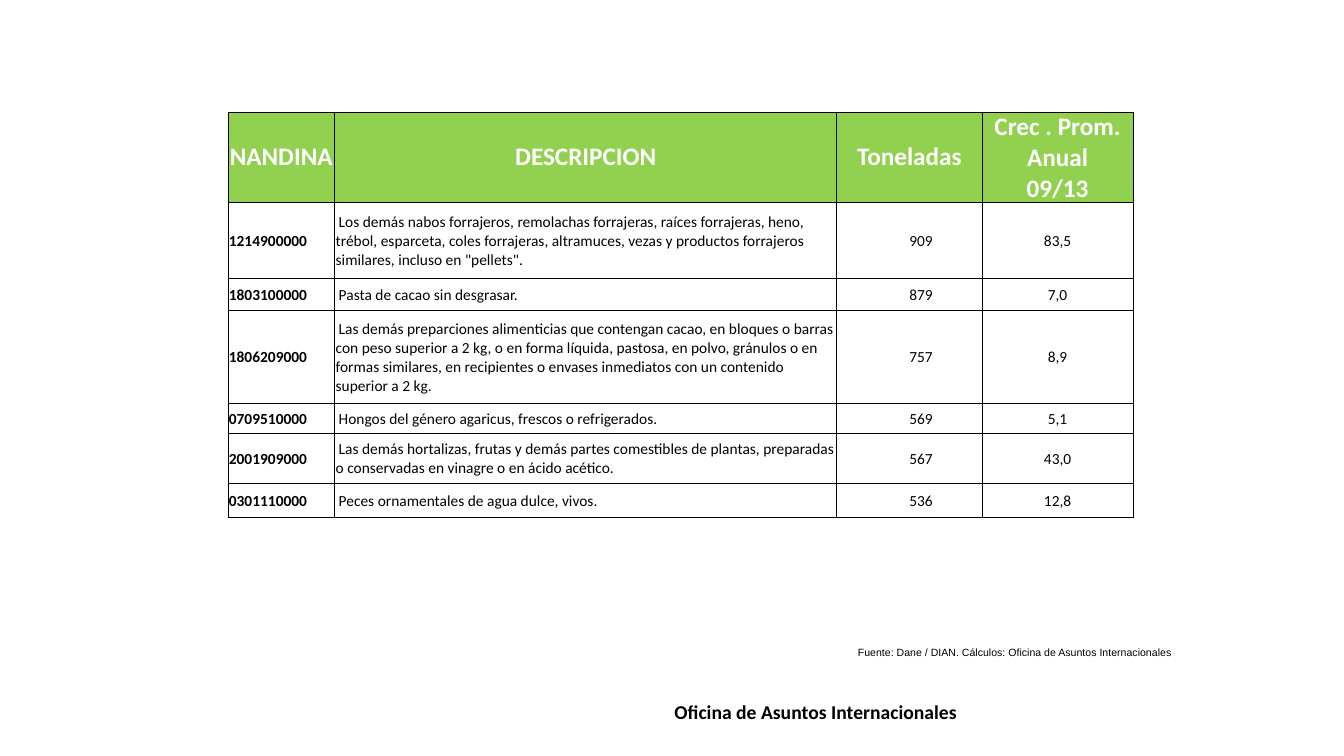
from lxml import etree
from pptx import Presentation
from pptx import util as u
from pptx.dml.color import RGBColor
from pptx.enum import text
from pptx.oxml.ns import qn

COLOURS = {"header": "92D050", "light": "FFFFFF", "ink": "000000"}
GRID = u.Inches(0.01)
SLIDE = (1333, 750)
TABLE_BOX = (226, 92, 898, 416)
SOURCE_BOX = (841, 636, 331, 23)
OFFICE_BOX = (659, 689, 394, 34)
COLUMNS = (106, 498, 144, 150)
ROWS = (19, 85, 75, 32, 92, 30, 50, 33)
HEADINGS = ("NANDINA", "DESCRIPCION", "Toneladas", "Crec . Prom. Anual\n09/13")
PRODUCTS = (
    ("1214900000", "Los demás nabos forrajeros, remolachas forrajeras, raíces forrajeras, "
     "heno, trébol, esparceta, coles forrajeras, altramuces, vezas y productos "
     'forrajeros similares, incluso en "pellets".', "909", "83,5"),
    ("1803100000", "Pasta de cacao sin desgrasar.", "879", "7,0"),
    ("1806209000", "Las demás preparciones alimenticias que contengan cacao, en bloques o "
     "barras con peso superior a 2 kg, o en forma líquida, pastosa, en polvo, gránulos "
     "o en formas similares, en recipientes o envases inmediatos con un contenido "
     "superior a 2 kg.", "757", "8,9"),
    ("0709510000", "Hongos del género agaricus, frescos o refrigerados.", "569", "5,1"),
    ("2001909000", "Las demás hortalizas, frutas y demás partes comestibles de plantas, "
     "preparadas o conservadas en vinagre o en ácido acético.", "567", "43,0"),
    ("0301110000", "Peces ornamentales de agua dulce, vivos.", "536", "12,8"),
)


def scaled(lengths):
    """Turn grid units into slide lengths."""
    return [length * GRID for length in lengths]


def set_all(target, values):
    """Set each attribute in a dict of format values."""
    for name, value in values.items():
        setattr(target, name, value)


def write(frame, words, colour, align=text.PP_ALIGN.LEFT, **font):
    """Write formatted words into a text frame, one paragraph a line."""
    frame.text = words
    for para in frame.paragraphs:
        para.alignment = align
        for span in para.runs:
            set_all(span.font, font)
            span.font.color.rgb = RGBColor.from_string(COLOURS[colour])


def add_borders(cell, sides):
    """Draw thin lines on the given sides of a cell."""
    properties = cell._tc.get_or_add_tcPr()
    for place, side in enumerate(sides):
        line = etree.Element(qn(f"a:ln{side}"), w=str(u.Pt(0.5)))
        fill = etree.SubElement(line, qn("a:solidFill"))
        etree.SubElement(fill, qn("a:srgbClr"), val=COLOURS["ink"])
        properties.insert(place, line)


def format_cell(cell, margin, sides, fill=None):
    """Give a cell its margins, anchor, fill and borders."""
    set_all(cell, {"margin_left": margin, "margin_right": margin, "margin_top": margin,
                   "margin_bottom": 0, "vertical_anchor": text.MSO_ANCHOR.MIDDLE})
    if fill:
        cell.fill.solid()
        cell.fill.fore_color.rgb = RGBColor.from_string(COLOURS[fill])
    else:
        cell.fill.background()
    add_borders(cell, sides)


def add_blank_row(table):
    """Merge the first row into a low blank band."""
    for cell in table.rows[0].cells:
        format_cell(cell, 0, "B")
        para = cell.text_frame.paragraphs[0]
        etree.SubElement(para._p, qn("a:endParaRPr"), sz="800")
    table.cell(0, 0).merge(table.cell(0, len(COLUMNS) - 1))


def add_product_row(row, product):
    """Fill one row with a product's code, description and figures."""
    for column, (cell, words) in enumerate(zip(row.cells, product)):
        format_cell(cell, GRID, "LRTB")
        align = text.PP_ALIGN.CENTER if column > 1 else text.PP_ALIGN.LEFT
        write(cell.text_frame, words, "ink", align, name="Calibri", size=u.Pt(11),
              bold=column == 0)
    description = row.cells[1].text_frame.paragraphs[0]
    description._p.get_or_add_pPr().set("indent", str(3 * GRID))
    row.cells[2].margin_left = 24 * GRID


def add_product_table(page, box):
    """Place the table of products in its box."""
    shape = page.shapes.add_table(len(ROWS), len(COLUMNS), *scaled(box))
    table = shape.table
    set_all(table, {"first_row": False, "horz_banding": False})
    for column, width in zip(table.columns, scaled(COLUMNS)):
        column.width = width
    for row, height in zip(table.rows, scaled(ROWS)):
        row.height = height
    add_blank_row(table)
    for cell, heading in zip(table.rows[1].cells, HEADINGS):
        format_cell(cell, 0, "LRTB", "header")
        write(cell.text_frame, heading, "light", text.PP_ALIGN.CENTER,
              name="Calibri", size=u.Pt(18), bold=True)
    for index, product in enumerate(PRODUCTS, start=2):
        add_product_row(table.rows[index], product)


def add_note(page, box, words, wrap, **font):
    """Place a line of text in its box."""
    frame = page.shapes.add_textbox(*scaled(box)).text_frame
    set_all(frame, {"word_wrap": wrap, "auto_size": text.MSO_AUTO_SIZE.SHAPE_TO_FIT_TEXT})
    write(frame, words, "ink", **font)


def main():
    """Build the slide and save the deck."""
    deck = Presentation()
    deck.slide_width, deck.slide_height = scaled(SLIDE)
    page = deck.slides.add_slide(deck.slide_layouts.get_by_name("Blank"))
    add_note(page, SOURCE_BOX,
             "Fuente: Dane / DIAN. Cálculos: Oficina de Asuntos Internacionales",
             False, name="Arial", size=u.Pt(7.5))
    add_product_table(page, TABLE_BOX)
    add_note(page, OFFICE_BOX, "Oficina de Asuntos Internacionales",
             True, name="Calibri", size=u.Pt(14), bold=True)
    deck.save("out.pptx")


if __name__ == "__main__":
    main()
